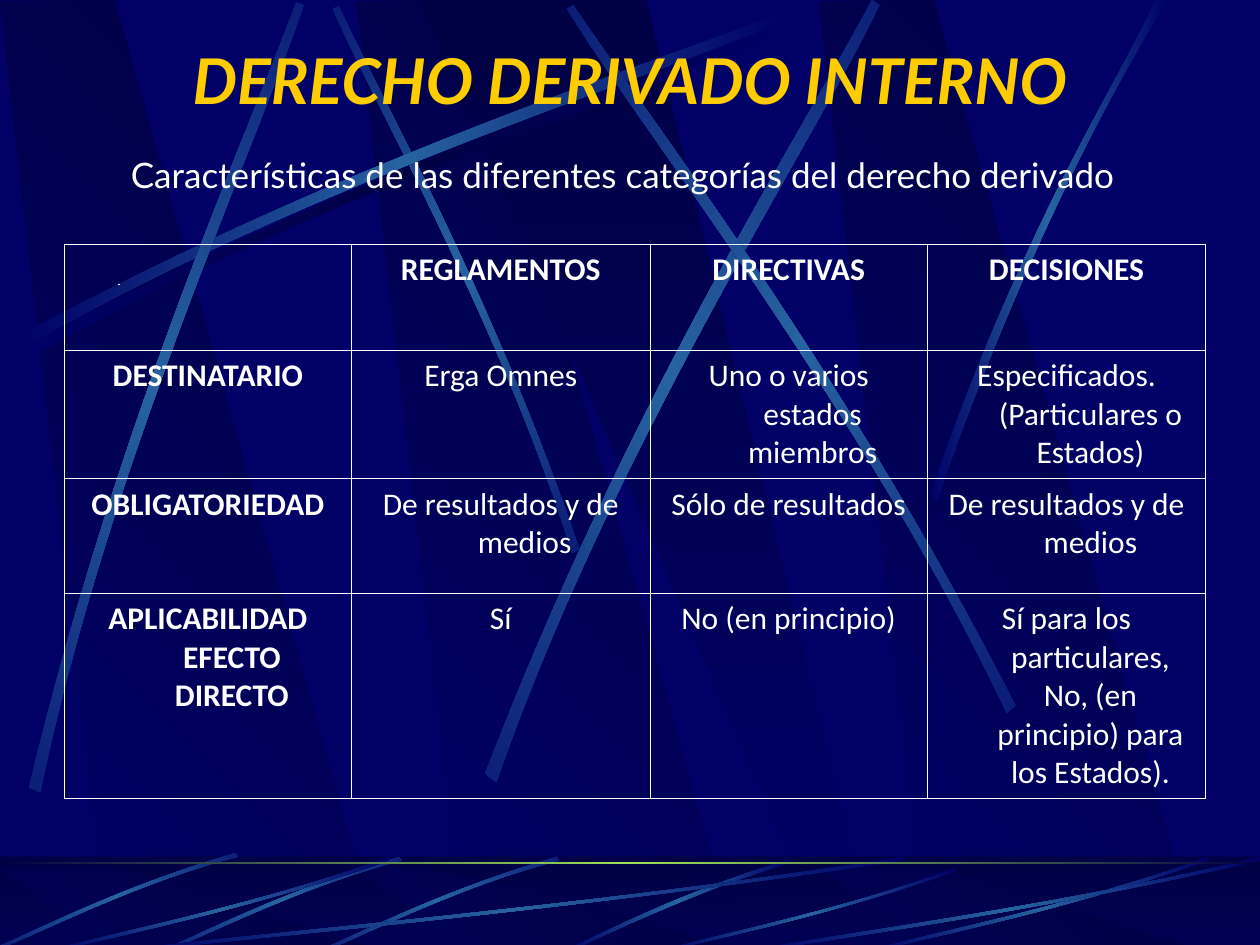
from math import cos, sin, radians
from pptx import Presentation
from pptx.dml.color import RGBColor as RGB
from pptx.enum.shapes import MSO_CONNECTOR as LINK, MSO_SHAPE as SHAPE
from pptx.enum.text import MSO_ANCHOR as ANCHOR, MSO_AUTO_SIZE as AUTO, PP_ALIGN as ALIGN
from pptx.oxml import parse_xml
from pptx.oxml.ns import nsdecls, qn
from pptx.util import Inches, Pt

HEX = {"base": "000066", "dark": "000044", "blue": "2663A0",
       "lime": "9CE157", "gold": "FFCC00", "white": "FFFFFF"}
COLS = [2.28, 2.37, 2.2, 2.21]
ROWS = [0.84, 1.02, 0.91, 1.63]
CELLS = [
    ["", "REGLAMENTOS", "DIRECTIVAS", "DECISIONES"],
    ["DESTINATARIO", "Erga Omnes", "Uno o varios estados miembros",
     "Especificados. (Particulares o Estados)"],
    ["OBLIGATORIEDAD", "De resultados y de medios", "Sólo de resultados",
     "De resultados y de medios"],
    ["APLICABILIDAD EFECTO DIRECTO", "Sí", "No (en principio)",
     "Sí para los particulares, No, (en principio) para los Estados)."],
]
RAYS = [
    (45, [(4.6, 4.36), (3.91, 2.34), (3.02, 0.77), (2.69, 0.05),
          (2.64, 0.07), (2.95, 0.79), (3.98, 2.58), (4.54, 4.39)]),
    (0, [(0.14, 2.67), (2.78, 1.25), (5.18, 0.51), (6.2, 0.1),
         (6.23, 0.16), (5.22, 0.61), (2.48, 1.43), (0.17, 2.77)]),
    (311.7, [(0.23, 6.25), (0.93, 3.34), (1.97, 1.05), (2.35, 0.02),
             (2.41, 0.04), (2.07, 1.08), (0.86, 3.68), (0.32, 6.29)]),
    (321.6, [(3.85, 6.14), (4.98, 3.2), (6.38, 1.02), (6.92, 0),
             (6.98, 0.04), (6.49, 1.08), (4.86, 3.55), (3.94, 6.21)]),
    (34.8, [(8.06, 5.6), (6.7, 2.93), (5.16, 0.95), (4.55, 0.04),
            (4.5, 0.07), (5.07, 1.01), (6.85, 3.25), (7.99, 5.66)]),
    (0, [(7.38, 3.93), (8.14, 1.73), (8.88, 0.66), (9.17, 0),
         (9.27, 0), (8.36, 1.45), (7.69, 3.22), (7.44, 3.97)]),
]
SHADE = [(0.2, 2.75), (2.84, 1.34), (5.24, 0.59), (6.26, 0.18),
         (6.29, 0.24), (5.28, 0.69), (2.54, 1.51), (0.23, 2.85)]
CURL = [(6.27, 6.82), (5.37, 7.09), (4.77, 7.42), (4.48, 7.54),
        (4.53, 7.55), (4.9, 7.37), (5.71, 7), (6.28, 6.85)]
BLADE = [(4.42, 6.8), (3.55, 7.05), (2.87, 7.4), (2.56, 7.53),
         (2.57, 7.55), (2.88, 7.43), (3.65, 7.03), (4.44, 6.83)]
SWEEP = [(1, 0.04), (0.57, 0.57), (0.17, 0.85), (0.01, 1),
         (0, 0.98), (0.17, 0.81), (0.61, 0.51), (1, 0)]
SPANS = [(1, 6.8, 6.17, 0.75), (0.42, 6.8, 2.67, 0.75), (5.27, 6.89, 2.31, 0.66),
         (6.92, 6.8, 2.67, 0.75), (6, 6.8, 4, 0.75)]


def color(name):
    return RGB.from_string(HEX[name])


def plain(shape):
    shape.shadow.inherit = False
    shape.line.fill.background()


def blend(shape, names, angle):
    plain(shape)
    shape.fill.background()
    last = len(names) - 1
    stops = "".join(
        f'<a:gs pos="{100000 * i // last}"><a:srgbClr val="{HEX[name]}"/></a:gs>'
        for i, name in enumerate(names))
    grad = parse_xml(
        f'<a:gradFill {nsdecls("a")} rotWithShape="1"><a:gsLst>{stops}</a:gsLst>'
        f'<a:lin ang="{angle * 60000}" scaled="0"/></a:gradFill>')
    props = shape._element.spPr
    props.replace(props.find(qn("a:noFill")), grad)


def outline(slide, points):
    spots = [(Inches(x), Inches(y)) for x, y in points]
    form = slide.shapes.build_freeform(*spots[0], scale=1.0)
    form.add_line_segments(spots[1:], close=True)
    return form.convert_to_shape()


def spin(x, y, angle):
    turn = radians(angle)
    return x * cos(turn) - y * sin(turn), x * sin(turn) + y * cos(turn)


def bend(shape):
    lines = list(shape._element.iter(qn("a:lnTo")))
    for trio in (lines[:3], lines[4:]):
        arc = parse_xml(f'<a:cubicBezTo {nsdecls("a")}/>')
        trio[0].addprevious(arc)
        for line in trio:
            arc.append(line[0])
            line.getparent().remove(line)


def streak(slide, points, turn=0, mid="blue"):
    shape = outline(slide, [spin(x, y, -turn) for x, y in points])
    bend(shape)
    x, y = spin(shape.left + shape.width / 2, shape.top + shape.height / 2, turn)
    shape.left = round(x - shape.width / 2)
    shape.top = round(y - shape.height / 2)
    shape.rotation = turn
    blend(shape, ["base", mid, "base"], 0)


def panel(slide, top, height):
    box = (Inches(n) for n in (0, top, 10, height))
    return slide.shapes.add_shape(SHAPE.RECTANGLE, *box)


def slabs(slide, top, end):
    for x in (2.83, 0, 6.5):
        shape = outline(slide, [(x + 0.86, end - 0.01), (x + 3.02, end),
                                (x + 0.91, top), (x, top + 0.01)])
        blend(shape, ["base", "dark"], 315)
    beam = outline(slide, [(3.33, top), (6.58, end), (6.94, end), (5.13, top)])
    blend(beam, ["dark", "base"], 90)


def veil(slide):
    shape = panel(slide, 6.79, 0.75)
    plain(shape)
    shape.fill.solid()
    shape.fill.fore_color.rgb = color("dark")
    tint = shape._element.spPr.find(qn("a:solidFill"))[0]
    tint.append(parse_xml(f'<a:alpha {nsdecls("a")} val="50000"/>'))


def scene(slide):
    slabs(slide, 0, 7.52)
    streak(slide, SHADE, mid="dark")
    for turn, points in RAYS:
        streak(slide, points, turn)
    blend(panel(slide, 6.8, 0.75), ["dark", "base"], 90)
    slabs(slide, 6.88, 7.54)
    veil(slide)
    streak(slide, CURL)
    for dx, dy in ((0, 0), (-1.25, 0), (-2.55, -0.03)):
        streak(slide, [(x + dx, y + dy) for x, y in BLADE], 314.9)
    for left, top, wide, high in SPANS:
        streak(slide, [(left + x * wide, top + y * high) for x, y in SWEEP])
    blend(panel(slide, 6.84, 0.02), ["dark", "lime", "dark"], 0)


def style(para, face, size, tone, bold=False):
    font = para.font
    font.name, font.size, font.bold = face, Pt(size), bold
    font.color.rgb = color(tone)


def hang(para):
    props = para._p.get_or_add_pPr()
    props.set("marL", str(Inches(0.38)))
    props.set("indent", str(Inches(-0.38)))


def heads(slide):
    title = slide.shapes.title
    slide.shapes._spTree.append(title._element)
    title.left, title.top, title.width, title.height = (
        Inches(n) for n in (0.75, 0.28, 8.5, 0.7))
    frame = title.text_frame
    frame.text = "DERECHO DERIVADO INTERNO"
    frame.vertical_anchor = ANCHOR.MIDDLE
    frame.auto_size = AUTO.SHAPE_TO_FIT_TEXT
    para = frame.paragraphs[0]
    para.alignment = ALIGN.CENTER
    style(para, "Lato", 36, "gold", True)
    para.font.italic = True

    box = slide.shapes.add_textbox(*(Inches(n) for n in (0.94, 1.23, 8.47, 2.06)))
    box.text_frame.word_wrap = True
    para = box.text_frame.paragraphs[0]
    para.text = "Características de las diferentes categorías del derecho derivado"
    para.line_spacing = 0.8
    hang(para)
    style(para, "Lato", 20, "white")


def dash(slide):
    line = slide.shapes.add_connector(
        LINK.STRAIGHT, *(Inches(n) for n in (0.94, 2.26, 0.95, 2.26)))
    line.line.color.rgb = color("white")
    line.line.width = Pt(0.75)
    line._element.spPr.append(parse_xml(f'<a:effectLst {nsdecls("a")}/>'))


def border(cell):
    props = cell._tc.get_or_add_tcPr()
    for i, side in enumerate(("lnL", "lnR", "lnT", "lnB")):
        props.insert(i, parse_xml(
            f'<a:{side} {nsdecls("a")} w="{Pt(0.45)}"><a:solidFill>'
            f'<a:srgbClr val="{HEX["white"]}"/></a:solidFill></a:{side}>'))


def grid(slide):
    box = (Inches(n) for n in (0.51, 1.94, sum(COLS), sum(ROWS)))
    table = slide.shapes.add_table(len(ROWS), len(COLS), *box).table
    table.first_row = table.horz_banding = False
    for col, wide in zip(table.columns, COLS):
        col.width = Inches(wide)
    for r, (row, high) in enumerate(zip(table.rows, ROWS)):
        row.height = Inches(high)
        for c, cell in enumerate(row.cells):
            cell.text = CELLS[r][c]
            cell.fill.background()
            border(cell)
            para = cell.text_frame.paragraphs[0]
            para.alignment = ALIGN.CENTER
            hang(para)
            style(para, "Calibri", 18, "white", r == 0 or c == 0)


def main():
    deck = Presentation()
    deck.slide_width, deck.slide_height = Inches(10), Inches(7.5)
    slide = deck.slides.add_slide(deck.slide_layouts[5])
    slide.background.fill.solid()
    slide.background.fill.fore_color.rgb = color("base")
    scene(slide)
    heads(slide)
    dash(slide)
    grid(slide)
    deck.save("out.pptx")


if __name__ == "__main__":
    main()
